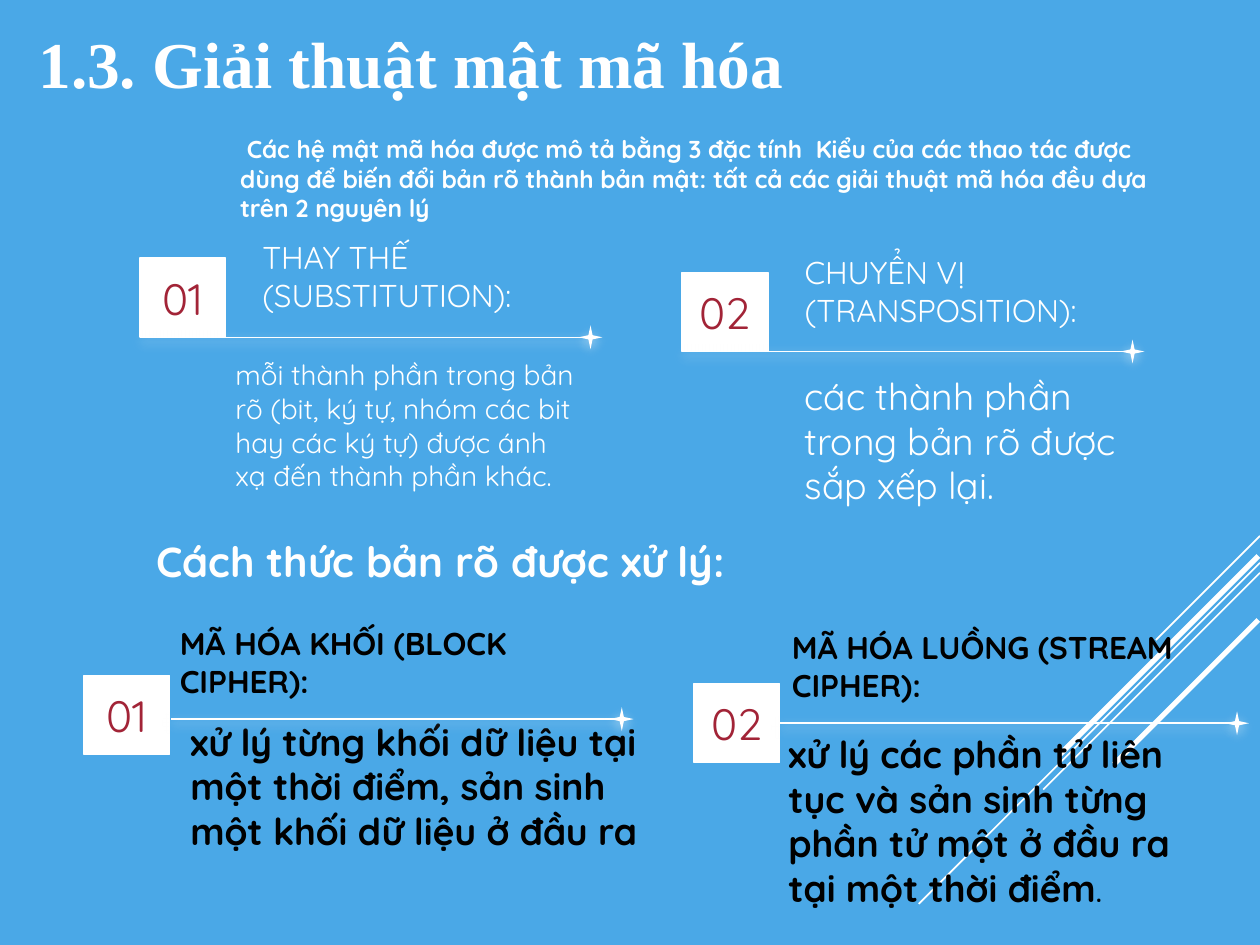
import pptx
import pptx.util
import pptx.dml.color
import pptx.enum.shapes
import pptx.enum.text
import pptx.oxml
import pptx.oxml.ns
from dataclasses import dataclass

Pt = pptx.util.Pt
SHAPE = pptx.enum.shapes.MSO_SHAPE
ANCHOR = pptx.enum.text.MSO_ANCHOR
ALIGN = pptx.enum.text.PP_ALIGN

# Content
HEADING = "1.3. Giải thuật mật mã hóa"
INTRO = (" Các hệ mật mã hóa được mô tả bằng 3 đặc tính  Kiểu của các thao tác được "
         "dùng để biến đổi bản rõ thành bản mật: tất cả các giải thuật mã hóa đều dựa "
         "trên 2 nguyên lý")
SUBHEADING = "Cách thức bản rõ được xử lý:"

# Places: square and rule (left, top), title and body (left, top, width)
CARDS = [
    dict(number="01", title="THAY THẾ (SUBSTITUTION):",
         body=[("mỗi thành phần trong bản rõ (bit, ký tự, nhóm các bit hay các ký tự) "
                "được ánh xạ đến thành phần khác.", 12)],
         square=(60, 110.7), title_at=(107.3, 116.5, 147.6), body_at=(95.8, 148.3, 159),
         rule=(60, 144.6), star_dx=188, ink="light"),
    dict(number="02", title="CHUYỂN VỊ (TRANSPOSITION):",
         body=[("các thành phần trong bản rõ được sắp xếp lại.", 16)],
         square=(292.3, 116.8), title_at=(339.8, 123, 147.6), body_at=(339.8, 154.8, 147.6),
         rule=(292.3, 150.7), star_dx=188, ink="light"),
    dict(number="01", title="MÃ HÓA KHỐI (BLOCK CIPHER):",
         body=[("xử lý từng khối dữ liệu tại một thời điểm, sản sinh một khối dữ liệu "
                "ở đầu ra", 16)],
         square=(36, 289.5), title_at=(72, 282, 168.5), body_at=(76.5, 303, 204.5),
         rule=(73.4, 308.2), star_dx=188, ink="dark"),
    dict(number="02", title="MÃ HÓA LUỒNG (STREAM CIPHER):",
         body=[("xử lý các phần tử liên tục và sản sinh từng phần tử một ở đầu ra tại "
                "một thời điểm", 16), (".", 10.5)],
         square=(297.4, 293), title_at=(334.3, 283.7, 193), body_at=(332.8, 308.2, 193),
         rule=(334.3, 310), star_dx=190.8, ink="dark"),
]

# Corner rays at 45 degrees: right end (x, y), run, line width
RAYS = [(540, 229.7, 44.6, 0.75), (540, 241.2, 146.2, 0.75), (540, 245.5, 92.9, 0.75),
        (539.3, 238.3, 85, 2.25), (539.3, 265.7, 61.9, 2.25)]


@dataclass
class Theme:
    background: str = "4AA8E7"
    light: str = "FFFFFF"
    dark: str = "000000"
    number: str = "A22437"
    font: str = "Quicksand"
    heading_font: str = "Times New Roman"
    heading_size: float = 28
    number_size: float = 18.8
    subheading_size: float = 18
    title_size: float = 13.5
    intro_size: float = 10.5
    line: float = 0.75


T = Theme()
SQUARE_W, SQUARE_H = 36.7, 33.9
TITLE_H, BODY_H = 23, 34
RULE_W, STAR = 193.4, 10.2
CARD_INSET = (5.1, 5.1)


def rgb(value):
    return pptx.dml.color.RGBColor.from_string(value)


def set_effects(s, glow=False):
    ns = pptx.oxml.ns.nsdecls("a")
    shadow = ('<a:outerShdw blurRad="57150" dist="19050" dir="5400000" algn="bl" '
              f'rotWithShape="0"><a:srgbClr val="{T.light}"><a:alpha val="50000"/>'
              '</a:srgbClr></a:outerShdw>') if glow else ""
    s._element.spPr.append(pptx.oxml.parse_xml(f"<a:effectLst {ns}>{shadow}</a:effectLst>"))


def write(s, text, size=None, color=T.light, font=T.font, bold=False,
          align=ALIGN.LEFT, anchor=ANCHOR.TOP, inset=(7.2, 3.6)):
    """Fill a shape with one paragraph; text is a string or (text, size) runs."""
    tf = s.text_frame
    tf.word_wrap = True
    tf.vertical_anchor = anchor
    tf.margin_left = tf.margin_right = Pt(inset[0])
    tf.margin_top = tf.margin_bottom = Pt(inset[1])
    p = tf.paragraphs[0]
    p.alignment = align
    for part, part_size in [(text, size)] if isinstance(text, str) else text:
        r = p.add_run()
        r.text = part
        r.font.size = Pt(part_size)
        r.font.name = font
        r.font.bold = bold
        r.font.color.rgb = rgb(color)


def add_text(left, top, width, height, text, **style):
    write(slide.shapes.add_textbox(Pt(left), Pt(top), Pt(width), Pt(height)), text, **style)


def add_line(x1, y1, x2, y2, width=T.line, glow=False):
    s = slide.shapes.add_connector(pptx.enum.shapes.MSO_CONNECTOR.STRAIGHT,
                                   Pt(x1), Pt(y1), Pt(x2), Pt(y2))
    s.line.color.rgb = rgb(T.light)
    s.line.width = Pt(width)
    set_effects(s, glow)


def add_white_shape(kind, left, top, width, height):
    s = slide.shapes.add_shape(kind, Pt(left), Pt(top), Pt(width), Pt(height))
    s.fill.solid()
    s.fill.fore_color.rgb = rgb(T.light)
    return s


def add_card(card):
    color, bold = getattr(T, card["ink"]), card["ink"] == "dark"
    add_text(*card["title_at"], TITLE_H, card["title"], size=T.title_size, color=color,
             bold=bold, anchor=ANCHOR.BOTTOM, inset=CARD_INSET)
    add_text(*card["body_at"], BODY_H, card["body"], color=color, bold=bold,
             inset=CARD_INSET)
    s = add_white_shape(SHAPE.RECTANGLE, *card["square"], SQUARE_W, SQUARE_H)
    s.line.color.rgb = rgb(T.light)
    s.line.width = Pt(T.line)
    s.shadow.inherit = False
    write(s, card["number"], size=T.number_size, color=T.number, align=ALIGN.CENTER,
          anchor=ANCHOR.MIDDLE, inset=CARD_INSET)


def add_rule(card):
    x, y = card["rule"]
    add_line(x, y, x + RULE_W, y, glow=True)
    s = add_white_shape(SHAPE.STAR_4_POINT, x + card["star_dx"], y - STAR / 2, STAR, STAR)
    s.adjustments[0] = 0.125
    s.line.fill.background()
    set_effects(s, glow=True)


# Slide
prs = pptx.Presentation()
prs.slide_width, prs.slide_height = Pt(540), Pt(405)
slide = prs.slides.add_slide(prs.slide_layouts[6])
slide.background.fill.solid()
slide.background.fill.fore_color.rgb = rgb(T.background)

# Corner rays
for x, y, run, width in RAYS:
    add_line(x, y, x - run, y + run, width)

# Cards, then their starred rules
for card in CARDS:
    add_card(card)
for card in CARDS:
    add_rule(card)

# Headings
add_text(95.8, 54, 419.8, 45.4, INTRO, size=T.intro_size, bold=True)
add_text(59.8, 226.1, 312.5, 28.8, SUBHEADING, size=T.subheading_size, bold=True)
add_text(9.4, 6.5, 419.8, 41, HEADING, size=T.heading_size, font=T.heading_font, bold=True)

prs.save("out.pptx")
